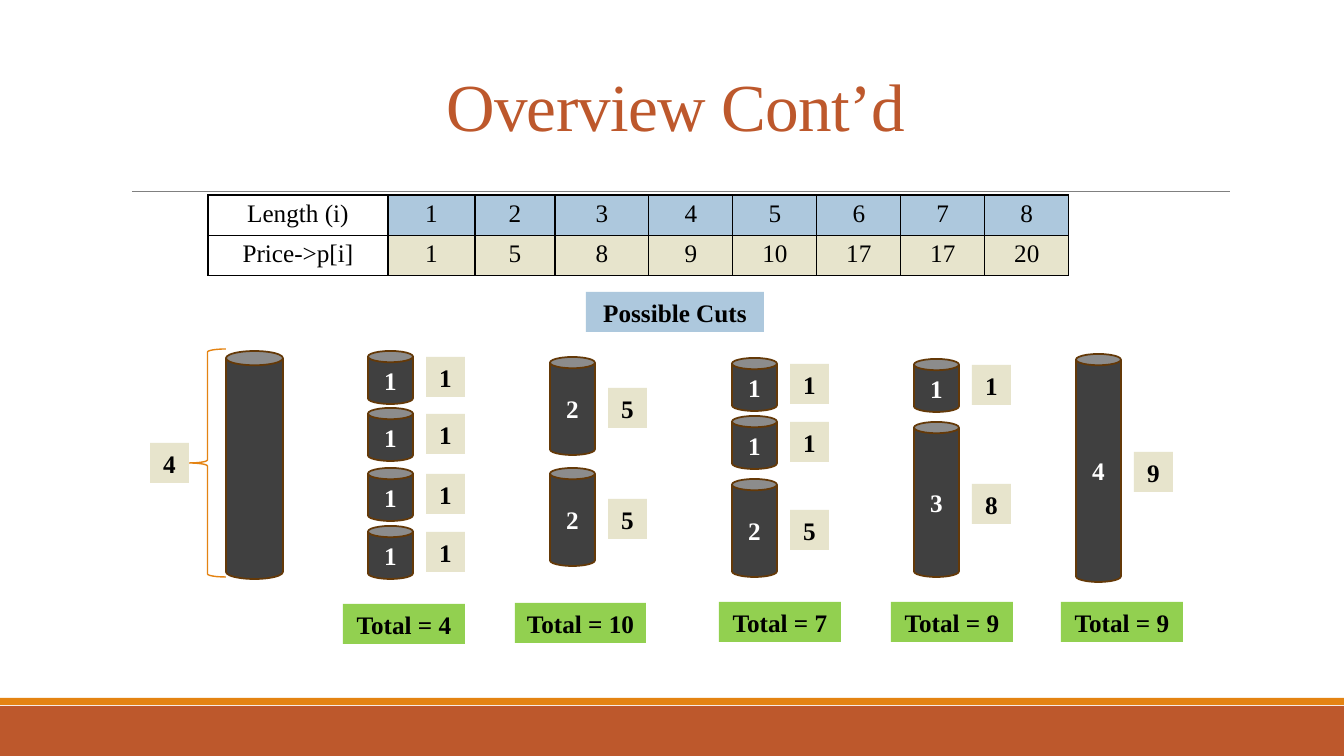
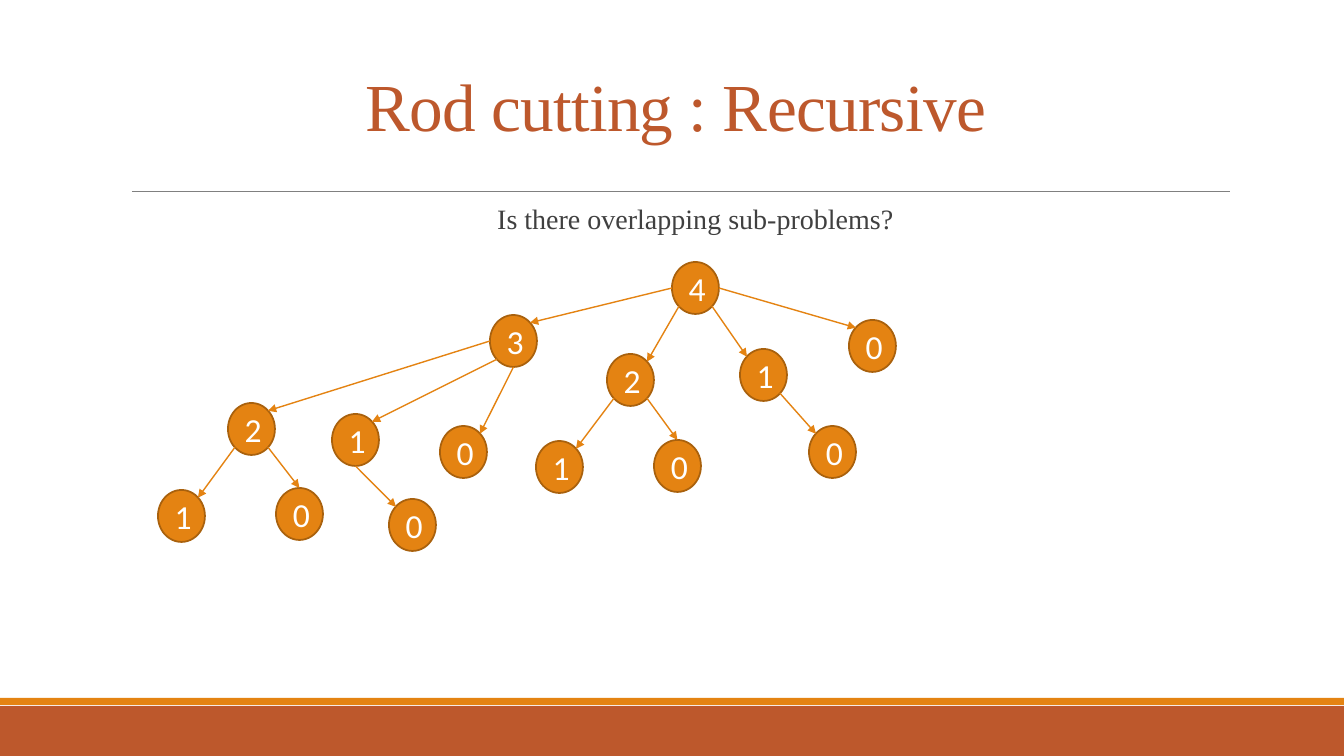
from lxml.etree import SubElement
from pptx import Presentation
from pptx.dml.color import RGBColor
from pptx.enum.shapes import MSO_CONNECTOR, MSO_SHAPE
from pptx.enum.text import MSO_ANCHOR, PP_ALIGN
from pptx.oxml.ns import qn
from pptx.util import Pt

PX = 914400 / 100.8
SERIF = "Times New Roman"
RUST, ORANGE, GREY = "BD582C", "E48312", "808080"
BLUE, CREAM, GREEN = "ADC8DD", "E7E4CC", "92D050"
BLACK, WHITE, CHARCOAL = "000000", "FFFFFF", "404040"


def write(frame, text, size=18, font=SERIF, color=BLACK, bold=False,
          anchor=MSO_ANCHOR.MIDDLE, spacing=None, tracking=0):
    frame.word_wrap = True
    frame.vertical_anchor = anchor
    paragraph = frame.paragraphs[0]
    paragraph.alignment = PP_ALIGN.CENTER
    paragraph.line_spacing = spacing
    run = paragraph.add_run()
    run.text = str(text)
    run.font.size = Pt(size)
    run.font.name = font
    run.font.bold = bold
    run.font.color.rgb = RGBColor.from_string(color)
    if tracking:
        run._r.get_or_add_rPr().set("spc", str(tracking))


def draw(slide, kind, box, fill=None, line=None, width=1.25, text=None, **text_format):
    shape = slide.shapes.add_shape(kind, *[round(v * PX) for v in box])
    shape.shadow.inherit = False
    if fill:
        shape.fill.solid()
        shape.fill.fore_color.rgb = RGBColor.from_string(fill)
    else:
        shape.fill.background()
    if line:
        shape.line.color.rgb = RGBColor.from_string(line)
        shape.line.width = Pt(width)
    else:
        shape.line.fill.background()
    if text is not None:
        write(shape.text_frame, text, **text_format)


prs = Presentation()
prs.slide_width, prs.slide_height = round(1344 * PX), round(756 * PX)

# Shared bands, title and rule
slides = []
lines = []  # slide, start, end, colour, width, arrow
for title in ("Overview Cont’d", "Rod cutting : Recursive"):
    slide = prs.slides.add_slide(prs.slide_layouts[6])
    slides.append(slide)
    draw(slide, MSO_SHAPE.RECTANGLE, (0, 706, 1344, 50), RUST)
    draw(slide, MSO_SHAPE.RECTANGLE, (0, 698, 1344, 7), ORANGE)
    heading = slide.shapes.add_textbox(*[round(v * PX) for v in (121, 31, 1109, 160)])
    write(heading.text_frame, title, size=48, color=RUST, spacing=0.85, tracking=-50)
    lines.append((slide, (132, 191), (1230, 191), GREY, 0.5, False))
overview, recursive = slides

# Price table
lengths = range(1, 9)
prices = [1, 5, 8, 9, 10, 17, 17, 20]
rows = [("Length (i)", lengths, BLUE), ("Price->p[i]", prices, CREAM)]
column_widths = [180, 87, 80, 94] + [84] * 5
price_table = overview.shapes.add_table(
    2, 9, *[round(v * PX) for v in (208, 195, sum(column_widths), 80)]).table
price_table.first_row = price_table.horz_banding = False
for column, column_width in zip(price_table.columns, column_widths):
    column.width = round(column_width * PX)
for r, (label, values, value_fill) in enumerate(rows):
    price_table.rows[r].height = round(40 * PX)
    for c, value in enumerate([label, *values]):
        cell = price_table.cell(r, c)
        write(cell.text_frame, value)
        properties = cell._tc.get_or_add_tcPr()
        for side in ("a:lnL", "a:lnR", "a:lnT", "a:lnB"):
            border = SubElement(properties, qn(side), w=str(Pt(1)))
            SubElement(SubElement(border, qn("a:solidFill")), qn("a:srgbClr"), val=BLACK)
        if c:
            cell.fill.solid()
            cell.fill.fore_color.rgb = RGBColor.from_string(value_fill)
        else:
            cell.fill.background()

# Whole rod with its length
rod_style = {"fill": CHARCOAL, "line": "643908"}
draw(overview, MSO_SHAPE.CAN, (226, 351, 57, 228), **rod_style)
draw(overview, MSO_SHAPE.LEFT_BRACE, (189, 349, 37, 228), line=ORANGE, width=1)
draw(overview, MSO_SHAPE.RECTANGLE, (150, 443, 39, 40), CREAM, text=4, bold=True)
draw(overview, MSO_SHAPE.RECTANGLE, (586, 292, 178, 40), BLUE, text="Possible Cuts", bold=True)

# Possible cuts: rod left, pieces as (length, top), total box as left, top, width
piece_sizes = {1: (53, 6), 2: (98, 31), 3: (155, 62), 4: (228, 98)}  # height, price drop
cuts = [
    (368, [(1, 351), (1, 408), (1, 468), (1, 526)], (343, 604, 122)),
    (550, [(2, 357), (2, 468)], (515, 603, 131)),
    (732, [(1, 358), (1, 416), (2, 479)], (719, 602, 122)),
    (914, [(1, 359), (3, 422)], (891, 602, 122)),
    (1076, [(4, 354)], (1061, 602, 122)),
]
for left, pieces, total_box in cuts:
    for length, top in pieces:
        height, drop = piece_sizes[length]
        draw(overview, MSO_SHAPE.CAN, (left, top, 45, height), **rod_style,
             text=length, color=WHITE, bold=True)
        draw(overview, MSO_SHAPE.RECTANGLE, (left + 58, top + drop, 39, 40), CREAM,
             text=prices[length - 1], bold=True)
    total = sum(prices[length - 1] for length, top in pieces)
    draw(overview, MSO_SHAPE.RECTANGLE, (*total_box, 40), GREEN,
         text=f"Total = {total}", bold=True)

# Question above the tree
question = recursive.shapes.add_textbox(*[round(v * PX) for v in (116, 192, 1159, 392)])
question.text_frame.margin_left = question.text_frame.margin_right = 0
write(question.text_frame, "Is there overlapping sub-problems?", size=20, color=CHARCOAL,
      anchor=MSO_ANCHOR.TOP, spacing=1.14)

# Recursion tree: left, top of each node; its name is the route of subproblems
node_width, node_height = 47, 52
nodes = {
    "4": (672, 262),
    "43": (490, 315), "42": (607, 354), "41": (740, 349), "40": (849, 320),
    "432": (228, 403), "431": (332, 414), "430": (440, 426),
    "421": (536, 441), "420": (654, 440), "410": (809, 426),
    "4321": (158, 490), "4320": (276, 488), "4310": (389, 499),
}
for route, (left, top) in nodes.items():
    draw(recursive, MSO_SHAPE.OVAL, (left, top, node_width, node_height), ORANGE, "A9610D",
         text=route[-1], size=24, font="Calibri", color=WHITE)

# Calls: child node, site it leaves the parent by, site it arrives at
sites = {
    "top": (0.5, 0), "left": (0, 0.5), "right": (1, 0.5), "bottom": (0.5, 1),
    "top left": (0.15, 0.15), "top right": (0.85, 0.15),
    "bottom left": (0.15, 0.85), "bottom right": (0.85, 0.85),
}
calls = [
    ("43", "left", "top right"), ("42", "bottom left", "top right"),
    ("41", "bottom right", "top left"), ("40", "right", "top left"),
    ("432", "left", "top right"), ("431", "bottom left", "top right"),
    ("430", "bottom", "top right"), ("421", "bottom left", "top right"),
    ("420", "bottom right", "top"), ("410", "bottom right", "top left"),
    ("4321", "bottom left", "top right"), ("4320", "bottom right", "top"),
    ("4310", "bottom", "top left"),
]
for child, leaving, arriving in calls:
    ends = []
    for route, site in ((child[:-1], leaving), (child, arriving)):
        (left, top), (across, down) = nodes[route], sites[site]
        ends.append((left + across * node_width, top + down * node_height))
    lines.append((recursive, *ends, ORANGE, 1, True))

# Title rules and call arrows
for slide, start, end, color, width, arrow in lines:
    connector = slide.shapes.add_connector(
        MSO_CONNECTOR.STRAIGHT, *[round(v * PX) for v in (*start, *end)])
    connector.line.color.rgb = RGBColor.from_string(color)
    connector.line.width = Pt(width)
    if arrow:
        SubElement(connector.line._get_or_add_ln(), qn("a:tailEnd"), type="triangle")
    SubElement(connector._element.spPr, qn("a:effectLst"))

prs.save("out.pptx")
